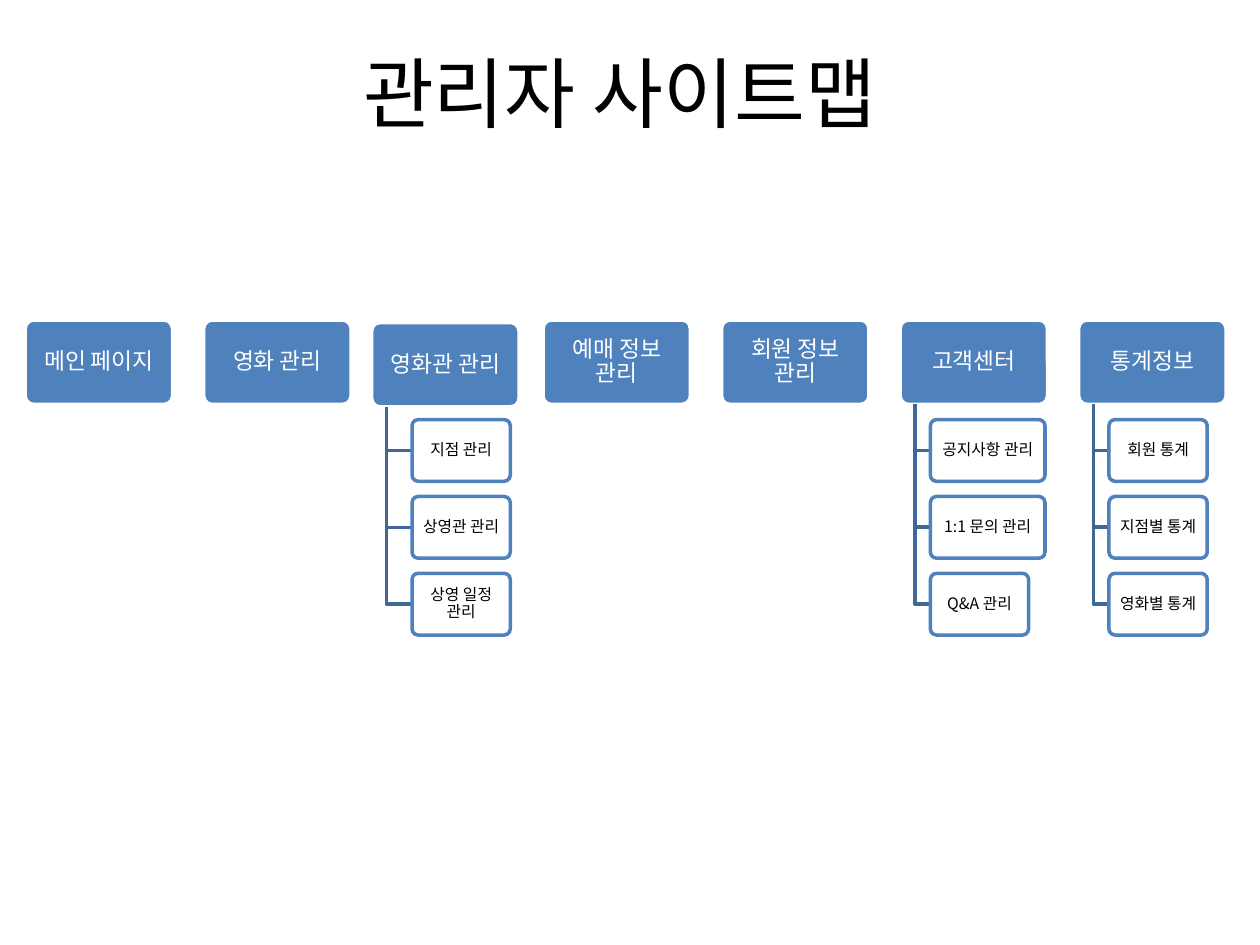
import pptx
import pptx.util
import pptx.dml.color
import pptx.enum.shapes
import pptx.enum.text
import pptx.oxml.ns
import lxml.etree

RGBColor = pptx.dml.color.RGBColor
BLUE = RGBColor(0x4F, 0x81, 0xBD)
DARK_BLUE = RGBColor(0x3F, 0x67, 0x97)
WHITE = RGBColor(0xFF, 0xFF, 0xFF)
BLACK = RGBColor(0, 0, 0)
FONT = "Noto Sans CJK KR"
inches = pptx.util.Inches

PITCH = 1.417
HEAD_WIDTH, HEAD_HEIGHT = 1.17, 0.67
HEAD_TOP = 2.54
ITEM_WIDTH, ITEM_HEIGHT = 0.78, 0.49
ITEM_TOP, ITEM_PITCH = 3.33, 0.61
WIDE = 0.91

SECTIONS = [
    ("메인 페이지", 0.2, HEAD_TOP, 0, []),
    ("영화 관리", 0.2 + PITCH, HEAD_TOP, 0, []),
    ("영화관 관리", 2.95, HEAD_TOP + 0.02, 0.32,
     [("지점 관리", ITEM_WIDTH), ("상영관 관리", ITEM_WIDTH), ("상영 일정 관리", ITEM_WIDTH)]),
    ("예매 정보 관리", 4.31, HEAD_TOP, 0, []),
    ("회원 정보 관리", 4.31 + PITCH, HEAD_TOP, 0, []),
    ("고객센터", 4.31 + 2 * PITCH, HEAD_TOP, 0.24,
     [("공지사항 관리", WIDE), ("1:1 문의 관리", WIDE), ("Q&A 관리", ITEM_WIDTH)]),
    ("통계정보", 4.31 + 3 * PITCH, HEAD_TOP, 0.24,
     [("회원 통계", ITEM_WIDTH), ("지점별 통계", ITEM_WIDTH), ("영화별 통계", ITEM_WIDTH)]),
]


def write_text(shape, text, size, color, margins, spacing):
    frame = shape.text_frame
    frame.word_wrap = True
    frame.vertical_anchor = pptx.enum.text.MSO_ANCHOR.MIDDLE
    frame.margin_left = frame.margin_right = inches(margins[0])
    frame.margin_top = frame.margin_bottom = inches(margins[1])
    para = frame.paragraphs[0]
    para.text = text
    para.alignment = pptx.enum.text.PP_ALIGN.CENTER
    para.line_spacing = spacing
    para.font.size = pptx.util.Pt(size)
    para.font.name = FONT
    para.font.color.rgb = color
    defaults = para._p.pPr.find(pptx.oxml.ns.qn("a:defRPr"))
    lxml.etree.SubElement(defaults, pptx.oxml.ns.qn("a:ea"), typeface=FONT)


def add_title(page, box, text):
    title = page.shapes.add_textbox(*map(inches, box))
    write_text(title, text, 44, BLACK, (0.1, 0.05), 1.0)


def add_card(page, box, text, size, fill, line, color, margins):
    card = page.shapes.add_shape(
        pptx.enum.shapes.MSO_SHAPE.ROUNDED_RECTANGLE, *map(inches, box))
    card.adjustments[0] = 0.1
    card.shadow.inherit = False
    card.fill.solid()
    card.fill.fore_color.rgb = fill
    card.line.color.rgb = line
    card.line.width = pptx.util.Pt(2)
    write_text(card, text, size, color, margins, 0.9)
    return card


def add_branch(page, left, top, right, bottom):
    builder = page.shapes.build_freeform(inches(left), inches(top))
    builder.add_line_segments(
        [(inches(left), inches(bottom)), (inches(right), inches(bottom))], close=False)
    branch = builder.convert_to_shape()
    branch.shadow.inherit = False
    branch.fill.background()
    branch.line.color.rgb = DARK_BLUE
    branch.line.width = pptx.util.Pt(2)


def add_section(page, box, heading, indent, items):
    left, top, width, height = box
    add_card(page, box, heading, 13, BLUE, WHITE, WHITE, (0.03, 0.02))
    for row, (label, item_width) in enumerate(items):
        item_left = left + indent
        item_top = ITEM_TOP + row * ITEM_PITCH
        add_branch(page, left + width / 10, top + height,
                   item_left, item_top + ITEM_HEIGHT / 2)
        card = add_card(page, (item_left, item_top, item_width, ITEM_HEIGHT),
                        label, 9, WHITE, BLUE, BLACK, (0.02, 0.01))
        tint = card._element.spPr.find(".//" + pptx.oxml.ns.qn("a:srgbClr"))
        lxml.etree.SubElement(tint, pptx.oxml.ns.qn("a:alpha"), val="90000")


deck = pptx.Presentation()
deck.slide_width, deck.slide_height = inches(10), inches(7.5)
page = deck.slides.add_slide(deck.slide_layouts[6])
for heading, left, top, indent, items in SECTIONS:
    add_section(page, (left, top, HEAD_WIDTH, HEAD_HEIGHT), heading, indent, items)
add_title(page, (0.67, 0.29, 8.5, 0.87), "관리자 사이트맵")
deck.save("out.pptx")
